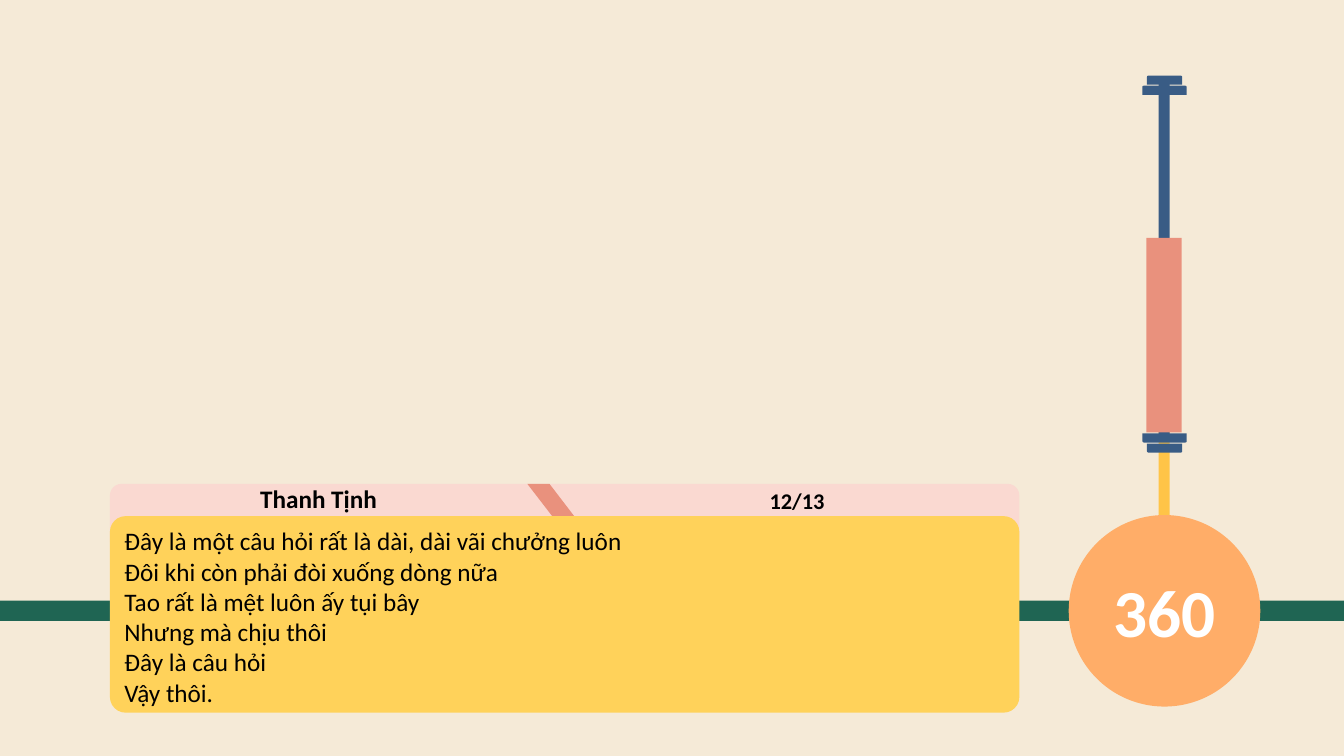
from pptx import Presentation
from pptx.dml.color import RGBColor
from pptx.enum.shapes import MSO_SHAPE as Shape
from pptx.enum.text import MSO_ANCHOR as Anchor, PP_ALIGN as Align
from pptx.util import Inches, Pt

CREAM, PINK, CORAL = "F5EAD7", "FAD9D1", "E9917D"
NAVY, AMBER, GREEN = "395C85", "FFC447", "1F6553"
ORANGE, YELLOW = "FFAD68", "FFD25A"
BLACK, WHITE = "000000", "FFFFFF"

PISTON_CENTRE = 11.55
CARD_LEFT, CARD_WIDTH = 1.09, 9.02
QUESTION = [
    "Đây là một câu hỏi rất là dài, dài vãi chưởng luôn",
    "Đôi khi còn phải đòi xuống dòng nữa",
    "Tao rất là mệt luôn ấy tụi bây",
    "Nhưng mà chịu thôi",
    "Đây là câu hỏi",
    "Vậy thôi.",
]


def colour(code):
    return RGBColor.from_string(code)


class SlideBuilder:
    def __init__(self, page, font="Calibri"):
        self.page = page
        self.font = font

    def background(self, fill):
        self.page.background.fill.solid()
        self.page.background.fill.fore_color.rgb = colour(fill)

    def group(self):
        return self.page.shapes.add_group_shape()

    def paint(self, shape, fill):
        """Give a shape a flat fill without outline or shadow."""
        shape.shadow.inherit = False
        shape.fill.solid()
        shape.fill.fore_color.rgb = colour(fill)
        shape.line.fill.background()
        return shape

    def shape(self, kind, left, top, width, height, fill, parent=None, turn=0):
        shapes = (parent or self.page).shapes
        shape = shapes.add_shape(kind, Inches(left), Inches(top), Inches(width), Inches(height))
        shape.rotation = turn
        return self.paint(shape, fill)

    def outline(self, points, fill, parent):
        corners = [(Inches(x), Inches(y)) for x, y in points]
        builder = parent.shapes.build_freeform(*corners[0])
        builder.add_line_segments(corners[1:], close=True)
        return self.paint(builder.convert_to_shape(), fill)

    def add_text(self, shape, lines, size, ink=BLACK, bold=False, align=Align.CENTER, anchor=Anchor.TOP):
        frame = shape.text_frame
        frame.word_wrap = True
        frame.vertical_anchor = anchor
        for index, line in enumerate(lines):
            para = frame.add_paragraph() if index else frame.paragraphs[0]
            para.alignment = align
            span = para.add_run()
            span.text = line
            span.font.name = self.font
            span.font.size = Pt(size)
            span.font.bold = bold
            span.font.color.rgb = colour(ink)

    def label(self, text, left, top, width, height, size):
        box = self.page.shapes.add_textbox(Inches(left), Inches(top), Inches(width), Inches(height))
        self.add_text(box, [text], size, bold=True)

    def piston_cap(self, narrow_top, wide_top, turn=0):
        cap = self.group()
        for top, width in ((narrow_top, 0.35), (wide_top, 0.44)):
            self.shape(Shape.ROUND_2_SAME_RECTANGLE, PISTON_CENTRE - width / 2, top,
                       width, 0.09, NAVY, cap, turn)


def main():
    deck = Presentation()
    deck.slide_width, deck.slide_height = Inches(13.33), Inches(7.5)
    slide = SlideBuilder(deck.slides.add_slide(deck.slide_layouts[6]))
    slide.background(CREAM)

    rod_left = PISTON_CENTRE - 0.06
    slide.shape(Shape.RECTANGLE, rod_left, 3.11, 0.11, 3.35, AMBER)
    slide.shape(Shape.RECTANGLE, rod_left, 0.82, 0.11, 3.49, NAVY)

    header = slide.group()
    slide.shape(Shape.ROUNDED_RECTANGLE, CARD_LEFT, 4.8, CARD_WIDTH, 0.69, PINK, header)
    slide.outline([(5.23, 4.8), (5.45, 4.8), (5.71, 5.14), (5.5, 5.15)], CORAL, header)

    slide.shape(Shape.RECTANGLE, 0, 5.96, 13.33, 0.2, GREEN)
    slide.shape(Shape.RECTANGLE, PISTON_CENTRE - 0.18, 2.36, 0.35, 1.93, CORAL)

    score = slide.shape(Shape.OVAL, PISTON_CENTRE - 0.95, 5.11, 1.9, 1.9, ORANGE)
    frame = score.text_frame
    frame.margin_left = frame.margin_right = frame.margin_top = frame.margin_bottom = 0
    slide.add_text(score, ["360"], 48, WHITE, bold=True, anchor=Anchor.MIDDLE)

    slide.label("Thanh Tịnh", CARD_LEFT, 4.75, 4.14, 0.4, 18)
    slide.label("12/13", 5.71, 4.78, 4.39, 0.37, 16)

    card = slide.shape(Shape.ROUNDED_RECTANGLE, CARD_LEFT, 5.12, CARD_WIDTH, 1.95, YELLOW)
    card.adjustments[0] = 0.08
    slide.add_text(card, QUESTION, 18, align=Align.LEFT)

    slide.piston_cap(0.75, 0.85)
    slide.piston_cap(4.4, 4.3, turn=180)
    deck.save("out.pptx")


if __name__ == "__main__":
    main()
